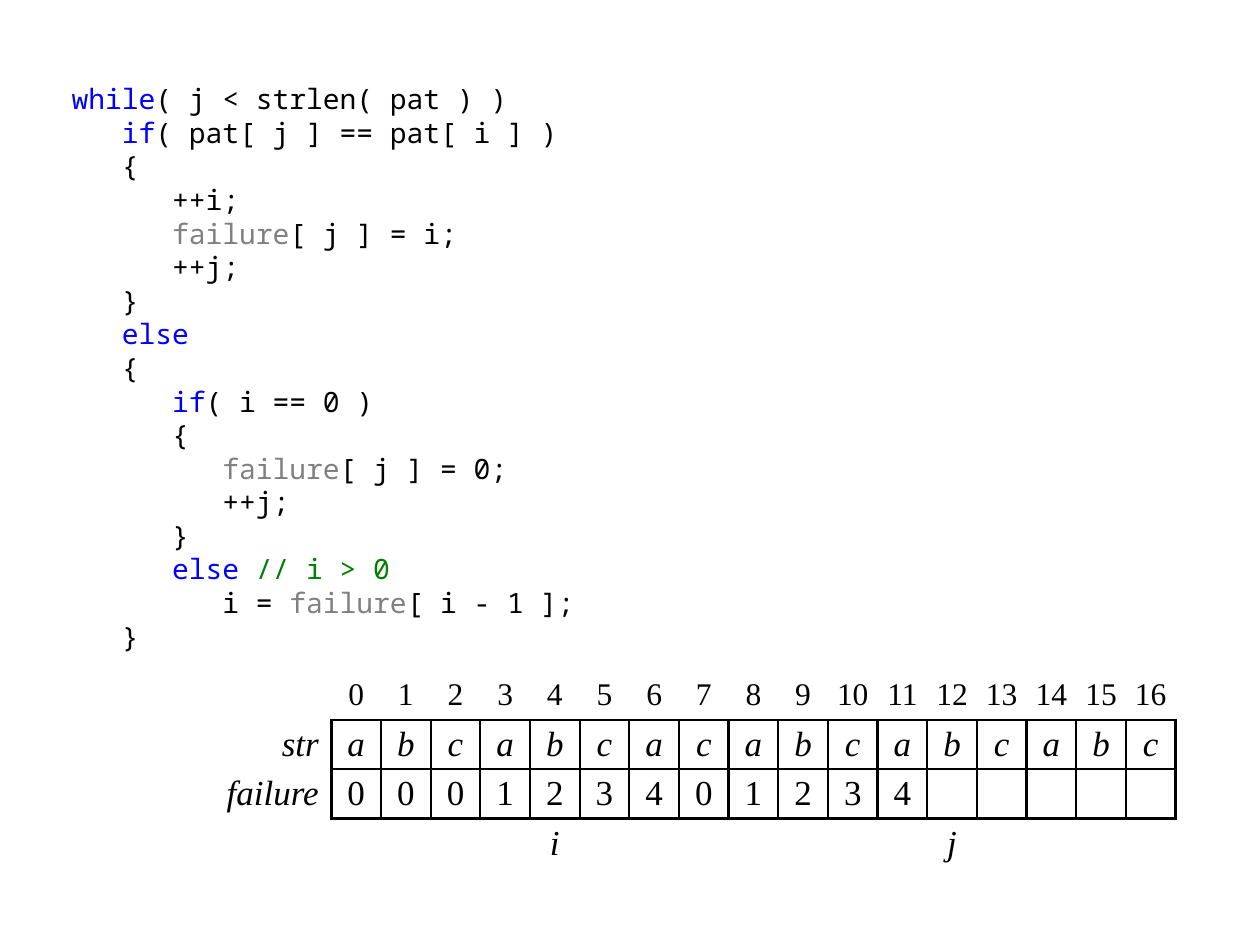
from dataclasses import dataclass

from lxml.etree import SubElement
from pptx import Presentation
from pptx.dml.color import RGBColor
from pptx.enum.text import MSO_ANCHOR, PP_ALIGN
from pptx.oxml.ns import qn
from pptx.util import Inches, Pt


@dataclass(frozen=True)
class Theme:
    code_font: str = "Noto Sans Mono"
    table_font: str = "Times New Roman"
    code_size: float = 16
    code_leading: float = 19.2
    index_size: float = 18
    cell_size: float = 20
    border_width: float = 1.5
    ink: str = "000000"
    keyword: str = "0000FF"
    array: str = "808080"
    comment: str = "008000"


CODE = """\
while( j < strlen( pat ) )
   if( pat[ j ] == pat[ i ] )
   {
      ++i;
      failure[ j ] = i;
      ++j;
   }
   else
   {
      if( i == 0 )
      {
         failure[ j ] = 0;
         ++j;
      }
      else // i > 0
         i = failure[ i - 1 ];
   }"""

PATTERN = "abcabcacabcabcabc"
FAILURE = "000123401234"
I_INDEX, J_INDEX = 4, 12
INDEX_ROW, STR_ROW, FAILURE_ROW, POINTER_ROW = range(4)


def tokens(line, colors, default):
    """Split a code line into (text, colour) pairs."""
    for word, color in colors.items():
        before, found, after = line.partition(word)
        if found:
            return (tokens(before, colors, default) + [(word, color)]
                    + tokens(after, colors, default))
    return [(line, default)] if line else []


class SlideBuilder:
    def __init__(self, presentation, theme):
        self.theme = theme
        self.slide = presentation.slides.add_slide(presentation.slide_layouts[6])

    def code(self, source, left, top, width, height):
        theme = self.theme
        colors = {"// i > 0": theme.comment, "while": theme.keyword,
                  "if": theme.keyword, "else": theme.keyword,
                  "failure": theme.array}
        frame = self.slide.shapes.add_textbox(
            Inches(left), Inches(top), Inches(width), Inches(height)).text_frame
        frame.word_wrap = True
        for number, line in enumerate(source.splitlines()):
            paragraph = frame.add_paragraph() if number else frame.paragraphs[0]
            paragraph.line_spacing = Pt(theme.code_leading)
            paragraph.font.name = theme.code_font
            paragraph.font.size = Pt(theme.code_size)
            for text, color in tokens(line, colors, theme.ink):
                run = paragraph.add_run()
                run.text = text
                run.font.color.rgb = RGBColor.from_string(color)

    def grid(self, rows, columns, left, top, width, height, label_width):
        """Add a plain table whose first column holds the row labels."""
        table = self.slide.shapes.add_table(
            rows, columns, Inches(left), Inches(top),
            Inches(width), Inches(height)).table
        table.first_row = table.horz_banding = False
        for row in table.rows:
            row.height = Inches(height / rows)
        for column in table.columns:
            column.width = Inches((width - label_width) / (columns - 1))
        table.columns[0].width = Inches(label_width)
        return table

    def cell(self, cell, text, size, italic, is_label):
        cell.margin_left = cell.margin_right = Inches(0.1 if is_label else 0.04)
        cell.margin_top = cell.margin_bottom = 0
        cell.vertical_anchor = MSO_ANCHOR.MIDDLE
        paragraph = cell.text_frame.paragraphs[0]
        paragraph.text = text
        paragraph.alignment = PP_ALIGN.RIGHT if is_label else PP_ALIGN.CENTER
        font = paragraph.font
        font.name, font.size, font.italic = self.theme.table_font, Pt(size), italic
        font.color.rgb = RGBColor.from_string(self.theme.ink)

    def borders(self, cell, sides):
        """Rule the given sides (from L, R, T, B) and clear the others."""
        properties = cell._tc.get_or_add_tcPr()
        for side in "LRTB":
            line = SubElement(properties, qn(f"a:ln{side}"),
                              w=str(Pt(self.theme.border_width)))
            if side in sides:
                fill = SubElement(line, qn("a:solidFill"))
                SubElement(fill, qn("a:srgbClr"), val=self.theme.ink)
            else:
                SubElement(line, qn("a:noFill"))
        cell.fill.background()

    def failure_table(self, left, top, width, height, label_width):
        theme = self.theme
        count = len(PATTERN)
        pointers = [""] * count
        pointers[I_INDEX], pointers[J_INDEX] = "i", "j"
        contents = [
            ["", *map(str, range(count))],
            ["str", *PATTERN],
            ["failure", *FAILURE.ljust(count).replace(" ", "-")],
            ["", *pointers],
        ]
        label_sides = ["", "R", "R", ""]
        value_sides = ["B", "LRTB", "LRTB", "T"]
        table = self.grid(len(contents), count + 1,
                          left, top, width, height, label_width)
        for r, values in enumerate(contents):
            size = theme.index_size if r == INDEX_ROW else theme.cell_size
            for c, value in enumerate(values):
                is_label = c == 0
                italic = is_label or r in (STR_ROW, POINTER_ROW)
                cell = table.cell(r, c)
                self.cell(cell, value.replace("-", ""), size, italic, is_label)
                self.borders(cell, (label_sides if is_label else value_sides)[r])


def main():
    presentation = Presentation()
    presentation.slide_width, presentation.slide_height = Inches(10), Inches(7.5)
    builder = SlideBuilder(presentation, Theme())
    builder.code(CODE, 0.47, 0.6, 4.33, 4.72)
    builder.failure_table(1.65, 5.32, 7.68, 1.57, label_width=0.98)
    presentation.save("out.pptx")


if __name__ == "__main__":
    main()
